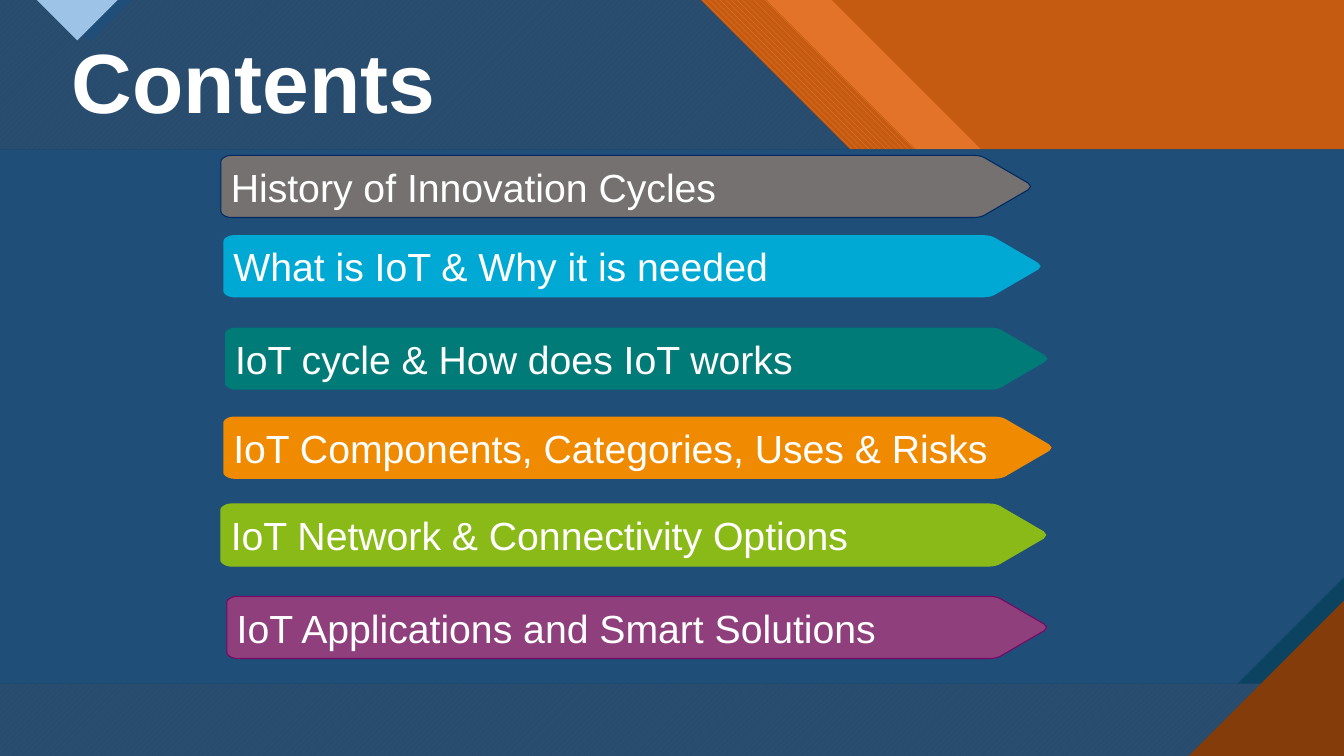
from lxml.etree import SubElement
from pptx import Presentation
from pptx.dml.color import RGBColor
from pptx.enum.dml import MSO_PATTERN as Pattern
from pptx.enum.shapes import MSO_SHAPE as Preset
from pptx.enum.text import MSO_ANCHOR as Anchor, PP_ALIGN as Align
from pptx.oxml.ns import qn
from pptx.util import Emu, Inches, Pt

COLUMNS, ROWS = 16, 9
BANNER_HEIGHT = 0.74

COLORS = {
    "white": "FFFFFF", "orange": "ED7D31", "rust": "C55A11", "brown": "843C0B",
    "navy": "1F4E79", "sky": "9DC3E6", "deep teal": "0C4360", "gray": "767171",
    "ink": "00285F", "cyan": "00A9D4", "teal": "007B78", "amber": "F08A00",
    "green": "89BA17", "plum": "8F3F7B", "violet": "7B0663",
}

BANNERS = [
    ("History of Innovation Cycles", 2.63, 1.85, 9.68, "gray", "ink"),
    ("What is IoT & Why it is needed", 2.66, 2.8, 9.77, "cyan", None),
    ("IoT cycle & How does IoT works", 2.68, 3.9, 9.83, "teal", None),
    ("IoT Components, Categories, Uses & Risks", 2.66, 4.96, 9.9, "amber", None),
    ("IoT Network & Connectivity Options", 2.63, 6, 9.86, "green", "green"),
    ("IoT Applications and Smart Solutions", 2.7, 7.1, 9.8, "plum", "violet"),
]


def color(name):
    return RGBColor.from_string(COLORS[name])


def curve(start, first, second, end, steps=6):
    points = []
    for step in range(steps + 1):
        t = step / steps
        weights = ((1 - t) ** 3, 3 * t * (1 - t) ** 2, 3 * t * t * (1 - t), t ** 3)
        points.append(tuple(
            sum(weight * value for weight, value in zip(weights, axis))
            for axis in zip(start, first, second, end)
        ))
    return points


def banner_outline(left, top, width):
    shoulder = width - 0.57
    upper = curve((0, 0.07), (0, 0.04), (0.06, 0), (0.12, 0))
    upper += curve((width - 0.72, 0), (width - 0.62, 0), (shoulder, 0.04), (shoulder, 0.04))
    upper += [(width - 0.07, 0.33), (width - 0.04, BANNER_HEIGHT / 2)]
    lower = [(x, BANNER_HEIGHT - y) for x, y in reversed(upper[:-1])]
    return [(left + x, top + y) for x, y in upper + lower]


def header_outline(edge):
    drop, shelf = 3.57, edge + 5.08
    return [(0, 0), (edge, 0), (edge + drop, drop), (shelf, drop),
            (COLUMNS, drop + COLUMNS - shelf), (COLUMNS, ROWS), (0, ROWS)]


class SlideBuilder:
    font = {"name": "Arial"}

    def __init__(self, presentation):
        self.cell = presentation.slide_width / COLUMNS
        self.slide = presentation.slides.add_slide(presentation.slide_layouts[5])
        background = self.slide.background.fill
        background.solid()
        background.fore_color.rgb = color("orange")

    def grid(self, *lengths):
        return [Emu(round(length * self.cell)) for length in lengths]

    def paint(self, shape, fill, line=None, opacity=None):
        shape.shadow.inherit = False
        shape.fill.solid()
        shape.fill.fore_color.rgb = color(fill)
        if opacity:
            tint = next(shape.element.spPr.iter(qn("a:srgbClr")))
            SubElement(tint, qn("a:alpha")).set("val", str(opacity * 1000))
        if line:
            shape.line.color.rgb = color(line)
            shape.line.width = Pt(0.75)
        else:
            shape.line.fill.background()
        return shape

    def preset(self, kind, box, fill):
        return self.paint(self.slide.shapes.add_shape(kind, *self.grid(*box)), fill)

    def polygon(self, points, fill, **style):
        first, *rest = [self.grid(*point) for point in points]
        builder = self.slide.shapes.build_freeform(*first)
        builder.add_line_segments(rest, close=True)
        return self.paint(builder.convert_to_shape(), fill, **style)

    def hatched(self, points, pattern, front, back):
        shape = self.polygon(points, back)
        shape.fill.patterned()
        shape.fill.pattern = pattern
        shape.fill.fore_color.rgb = color(front)
        shape.fill.back_color.rgb = color(back)

    def label(self, shape, text, **format_values):
        frame = shape.text_frame
        frame.word_wrap = True
        frame.vertical_anchor = Anchor.MIDDLE
        frame.margin_left = frame.margin_right = Inches(0.1)
        frame.margin_top = frame.margin_bottom = Inches(0.05)
        frame.text = text
        paragraph = frame.paragraphs[0]
        paragraph.alignment = Align.LEFT
        font = paragraph.runs[0].font
        for name, value in {**self.font, **format_values}.items():
            setattr(font, name, value)
        font.color.rgb = color("white")
        return paragraph

    def title(self, text, box):
        shape = self.slide.shapes.title
        names = ("left", "top", "width", "height")
        for name, value in zip(names, self.grid(*box)):
            setattr(shape, name, value)
        self.label(shape, text, size=Pt(60), bold=True).line_spacing = 0.9
        self.slide.shapes.element.append(shape.element)

    def banner(self, text, left, top, width, fill, line):
        shape = self.polygon(banner_outline(left, top, width), fill, line=line)
        self.label(shape, text, size=Pt(28))


def main():
    presentation = Presentation()
    presentation.slide_width, presentation.slide_height = Emu(12192000), Emu(6858000)
    builder = SlideBuilder(presentation)

    builder.preset(Preset.RECTANGLE, (0, 0, COLUMNS, ROWS), "rust")
    builder.polygon(header_outline(9.9), "orange", opacity=74)
    builder.hatched(header_outline(9.12), Pattern.WIDE_DOWNWARD_DIAGONAL, "orange", "rust")
    builder.hatched(header_outline(8.34), Pattern.WIDE_UPWARD_DIAGONAL, "orange", "brown")
    builder.polygon(header_outline(8.34), "navy", opacity=90)
    builder.polygon([(0.58, 0), (1.08, 0.49), (1.57, 0)], "navy")
    builder.polygon([(0.44, 0), (0.92, 0.48), (1.4, 0)], "sky")

    panel_box = (0, 1.78, COLUMNS, 6.36)
    builder.preset(Preset.RECTANGLE, panel_box, "deep teal")
    panel = builder.preset(Preset.SNIP_1_RECTANGLE, panel_box, "navy")
    panel.adjustments[0] = 0.2
    panel.element.spPr.find(qn("a:xfrm")).set("flipV", "1")
    builder.polygon([(14.15, ROWS), (COLUMNS, ROWS), (COLUMNS, 7.15)], "brown")

    builder.title("Contents", (0.73, 0.42, 14.71, 1.21))
    for banner in BANNERS:
        builder.banner(*banner)

    presentation.save("out.pptx")


if __name__ == "__main__":
    main()
